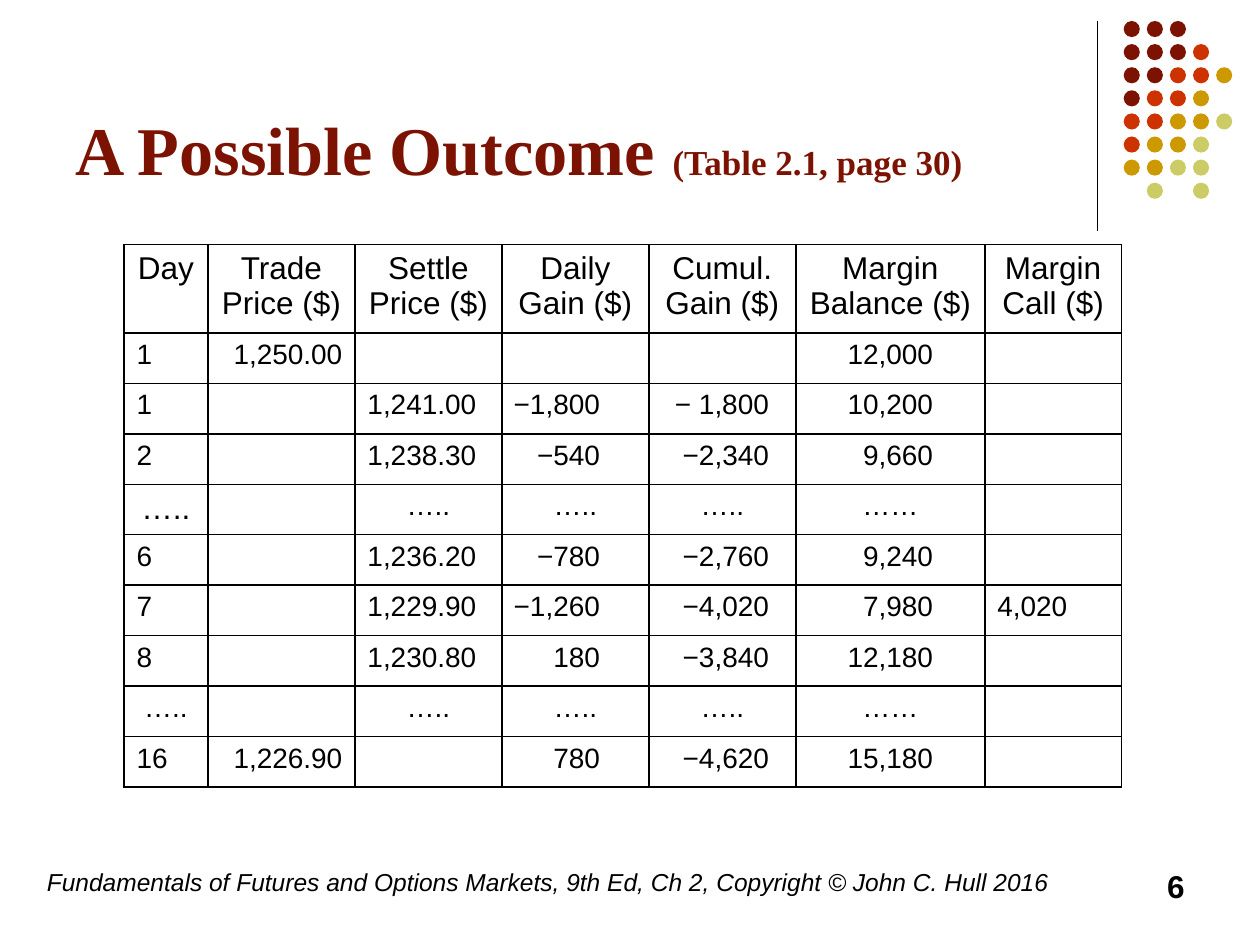
from lxml.etree import SubElement
from pptx import Presentation
from pptx.dml.color import RGBColor
from pptx.enum.shapes import MSO_CONNECTOR, MSO_SHAPE
from pptx.enum.text import MSO_ANCHOR, PP_ALIGN
from pptx.oxml.ns import qn
from pptx.util import Pt

BLACK = RGBColor(0x00, 0x00, 0x00)
MAROON = RGBColor(0x7C, 0x13, 0x02)
RED = RGBColor(0xCC, 0x33, 0x00)
GOLD = RGBColor(0xCC, 0x99, 0x00)
OLIVE = RGBColor(0xCC, 0xCC, 0x66)

LEFT, CENTER, RIGHT = PP_ALIGN.LEFT, PP_ALIGN.CENTER, PP_ALIGN.RIGHT

DOT_COLOURS = {"M": MAROON, "R": RED, "G": GOLD, "O": OLIVE}
DOT_ROWS = ["MMM", "MMMR", "MMRRG", "MRRG", "RRGGO", "RGGO", "GGOO", " O O"]

COLUMN_WIDTHS = [48, 84, 84, 84, 84, 108, 78]
ROW_HEIGHTS = [50.4] + [28.8] * 9
COLUMN_ALIGNS = [LEFT, RIGHT, LEFT, RIGHT, RIGHT, RIGHT, LEFT]
RIGHT_MARGINS = [7.2, 7.2, 7.2, 28, 15.4, 29.7, 7.2]
HEADER = ["Day", "Trade Price ($)", "Settle Price ($)", "Daily Gain ($)",
          "Cumul. Gain ($)", "Margin Balance ($)", "Margin Call ($)"]
GAP_ROW = ["…..", "", "…..", "…..", "…..", "……", ""]
DAY_ROWS = [
    ["1", "1,250.00", "", "", "", "12,000", ""],
    ["1", "", "1,241.00", "−1,800", "− 1,800", "10,200", ""],
    ["2", "", "1,238.30", "−540", "−2,340", "9,660", ""],
    GAP_ROW,
    ["6", "", "1,236.20", "−780", "−2,760", "9,240", ""],
    ["7", "", "1,229.90", "−1,260", "−4,020", "7,980", "4,020"],
    ["8", "", "1,230.80", "180", "−3,840", "12,180", ""],
    GAP_ROW,
    ["16", "1,226.90", "", "780", "−4,620", "15,180", ""],
]
FIRST_GAP_ROW = 4


def add_span(para, text, size=16, font="Arial", colour=BLACK, bold=False,
             italic=False, align=LEFT):
    para.alignment = align
    span = para.add_run()
    span.text = text
    span.font.size = Pt(size)
    span.font.name = font
    span.font.color.rgb = colour
    span.font.bold = bold
    span.font.italic = italic


def add_text_box(page, left, top, width, height, anchor=MSO_ANCHOR.TOP):
    """Add an empty wrapping text box and return its first paragraph."""
    box = page.shapes.add_textbox(Pt(left), Pt(top), Pt(width), Pt(height))
    box.text_frame.word_wrap = True
    box.text_frame.vertical_anchor = anchor
    return box.text_frame.paragraphs[0]


def add_dot_corner(page, left, top, height, pitch=13.2, size=9.2):
    """Place the vertical rule and, to its right, the grid of dots."""
    rule = page.shapes.add_connector(
        MSO_CONNECTOR.STRAIGHT, Pt(left), Pt(top), Pt(left), Pt(top + height))
    rule.line.color.rgb = BLACK
    rule.line.width = Pt(0.75)
    SubElement(rule._element.spPr, qn("a:effectLst"))
    for row, letters in enumerate(DOT_ROWS):
        for column, letter in enumerate(letters):
            if letter == " ":
                continue
            dot = page.shapes.add_shape(
                MSO_SHAPE.OVAL, Pt(left + 15.1 + column * pitch),
                Pt(top + row * pitch), Pt(size), Pt(size))
            dot.shadow.inherit = False
            dot.fill.solid()
            dot.fill.fore_color.rgb = DOT_COLOURS[letter]
            dot.line.fill.background()


def add_title(page, left, top, width, height):
    para = add_text_box(page, left, top, width, height, MSO_ANCHOR.BOTTOM)
    for text, size in [("A Possible Outcome ", 39), ("(Table 2.1, page 30)", 20)]:
        add_span(para, text, size=size, font="Times New Roman", colour=MAROON,
                 bold=True)


def set_borders(cell):
    properties = cell._tc.get_or_add_tcPr()
    for side in ("a:lnL", "a:lnR", "a:lnT", "a:lnB"):
        line = SubElement(properties, qn(side), w=str(Pt(1)))
        fill = SubElement(line, qn("a:solidFill"))
        SubElement(fill, qn("a:srgbClr"), val=str(BLACK))


def add_margin_table(page, left, top):
    rows = [HEADER] + DAY_ROWS
    table = page.shapes.add_table(
        len(rows), len(HEADER), Pt(left), Pt(top),
        Pt(sum(COLUMN_WIDTHS)), Pt(sum(ROW_HEIGHTS))).table
    table.first_row = table.horz_banding = False
    for column, width in zip(table.columns, COLUMN_WIDTHS):
        column.width = Pt(width)
    for row, height in zip(table.rows, ROW_HEIGHTS):
        row.height = Pt(height)
    for i, texts in enumerate(rows):
        for j, text in enumerate(texts):
            cell = table.cell(i, j)
            set_borders(cell)
            cell.fill.background()
            if not text:
                continue
            centred = i == 0 or texts is GAP_ROW
            align = CENTER if centred else COLUMN_ALIGNS[j]
            if align == RIGHT:
                cell.margin_left = Pt(3.6)
                cell.margin_right = Pt(RIGHT_MARGINS[j])
            large = i == 0 or (i, j) == (FIRST_GAP_ROW, 0)
            add_span(cell.text_frame.paragraphs[0], text,
                     size=18 if large else 16, align=align)


def add_footer(page, left, top, width, height):
    """Place the copyright line at the left and the page number at the right."""
    credit = add_text_box(page, left, top, 595.4, height)
    add_span(credit, "Fundamentals of Futures and Options Markets, 9th Ed, "
             "Ch 2, Copyright © John C. Hull 2016", size=14, italic=True)
    number_width = 168
    number = add_text_box(page, left + width - number_width, top,
                          number_width, height)
    add_span(number, "6", size=18, bold=True, align=RIGHT)


def main():
    deck = Presentation()
    deck.slide_width, deck.slide_height = Pt(720), Pt(540)
    page = deck.slides.add_slide(deck.slide_layouts[6])
    add_dot_corner(page, 627, 12, 120)
    add_title(page, 36, 9.5, 594, 102)
    add_footer(page, 19.7, 492, 664.3, 36)
    add_margin_table(page, 70.8, 139.8)
    deck.save("out.pptx")


if __name__ == "__main__":
    main()
